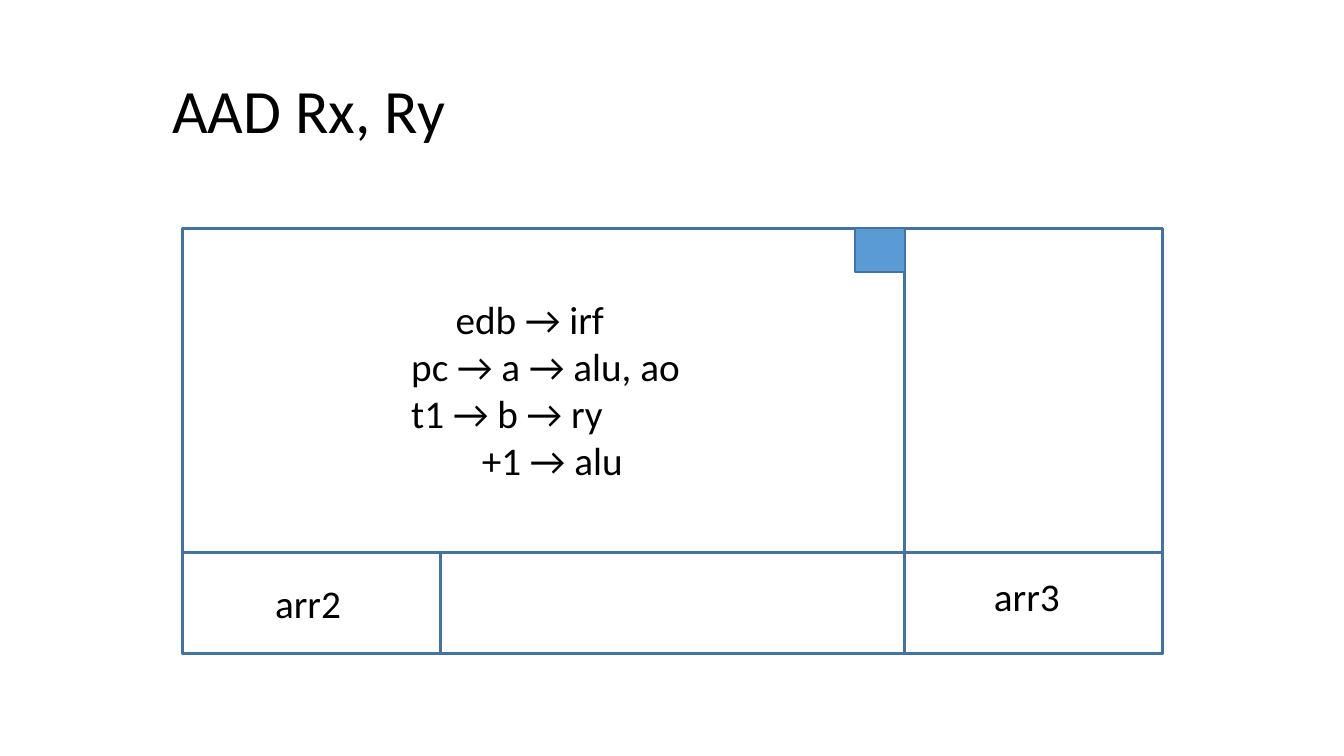
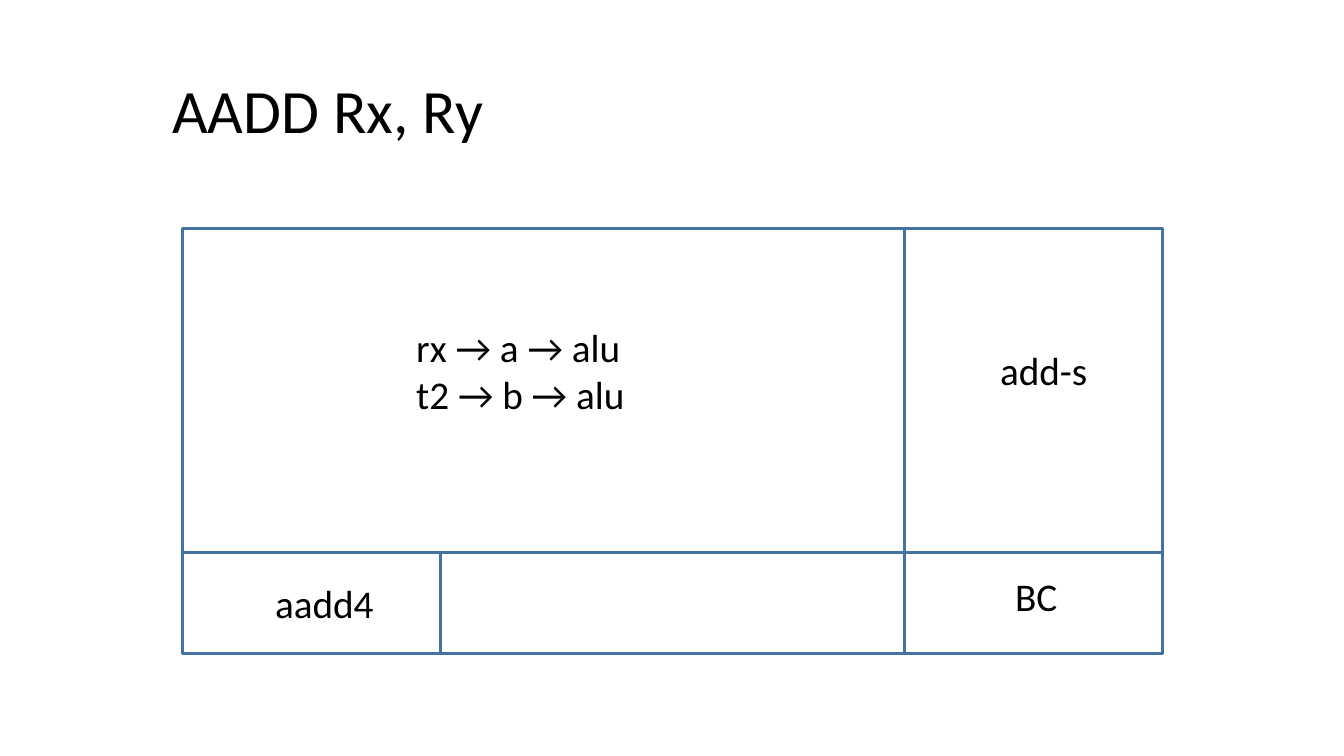
from pptx import Presentation
from pptx.dml.color import RGBColor as Rgb
from pptx.enum.shapes import MSO_SHAPE as Shape
from pptx.enum.text import MSO_ANCHOR as Anchor
from pptx.util import Pt

PX = 9144  # 100 px to the inch
FONT = "Calibri"
HUES = {"ink": "000000", "paper": "FFFFFF", "edge": "43739E", "mark": "5B9BD5"}
TITLE = (161, 40, 1081, 145)
GRID = (181, 227, 972, 421)
SIDE, FOOT = 256, 100  # width of the outer cells, height of the bottom row

# Each line is (indent, text); places are relative to the grid
PAGES = [
    {
        "title": "AAD Rx, Ry",
        "notes": [
            ((217, 61, 341, 199), [(44, "edb → irf"), (0, "pc → a → alu, ao"),
                                   (0, "t1 → b → ry"), (70, "+1 → alu")]),
            ((795, 336, 86, 57), [(0, "arr3")]),
            ((82, 343, 86, 57), [(0, "arr2")]),
        ],
        "mark": True,
    },
    {
        "title": "AADD Rx, Ry",
        "notes": [
            ((222, 89, 240, 104), [(0, "rx → a → alu"), (0, "t2 → b → alu")]),
            ((816, 336, 73, 57), [(0, "BC")]),
            ((82, 343, 119, 57), [(0, "aadd4")]),
            ((801, 112, 108, 57), [(0, "add-s")]),
        ],
        "mark": False,
    },
]


def emu(box):
    return [n * PX for n in box]


def hue(name):
    return Rgb.from_string(HUES[name])


def cell(slide, box, fill="paper", width=2.25):
    rect = slide.shapes.add_shape(Shape.RECTANGLE, *emu(box))
    rect.shadow.inherit = False
    rect.fill.solid()
    rect.fill.fore_color.rgb = hue(fill)
    rect.line.color.rgb = hue("edge")
    rect.line.width = Pt(width)


def text(slide, box, lines, size=28, anchor=Anchor.TOP, space=1.0):
    frame = slide.shapes.add_textbox(*emu(box)).text_frame
    frame.word_wrap = True
    frame.vertical_anchor = anchor
    for i, (indent, words) in enumerate(lines):
        para = frame.add_paragraph() if i else frame.paragraphs[0]
        para.line_spacing = space
        if indent:
            para._p.get_or_add_pPr().set("marL", str(indent * PX))
        run = para.add_run()
        run.text = words
        run.font.name = FONT
        run.font.size = Pt(size)
        run.font.color.rgb = hue("ink")


def grid(slide, box, mark):
    x, y, w, h = box
    right, low = x + w - SIDE, y + h - FOOT
    cell(slide, box)
    cell(slide, (x, low, w, FOOT))
    for left in (x, right):
        cell(slide, (left, low, SIDE, FOOT))
    cell(slide, (right, y, SIDE, h - FOOT))
    # Corner flag of the main cell
    if mark:
        cell(slide, (right - 49, y, 49, 43), "mark", 1)


def page(deck, data):
    slide = deck.slides.add_slide(deck.slide_layouts[6])
    text(slide, TITLE, [(0, data["title"])], 44, Anchor.MIDDLE, 0.9)
    grid(slide, GRID, data["mark"])
    # Notes inside the cells
    x, y = GRID[:2]
    for (dx, dy, w, h), lines in data["notes"]:
        text(slide, (x + dx, y + dy, w, h), lines)


def main():
    deck = Presentation()
    deck.slide_width, deck.slide_height = emu((1333, 750))
    for data in PAGES:
        page(deck, data)
    deck.save("out.pptx")


if __name__ == "__main__":
    main()
